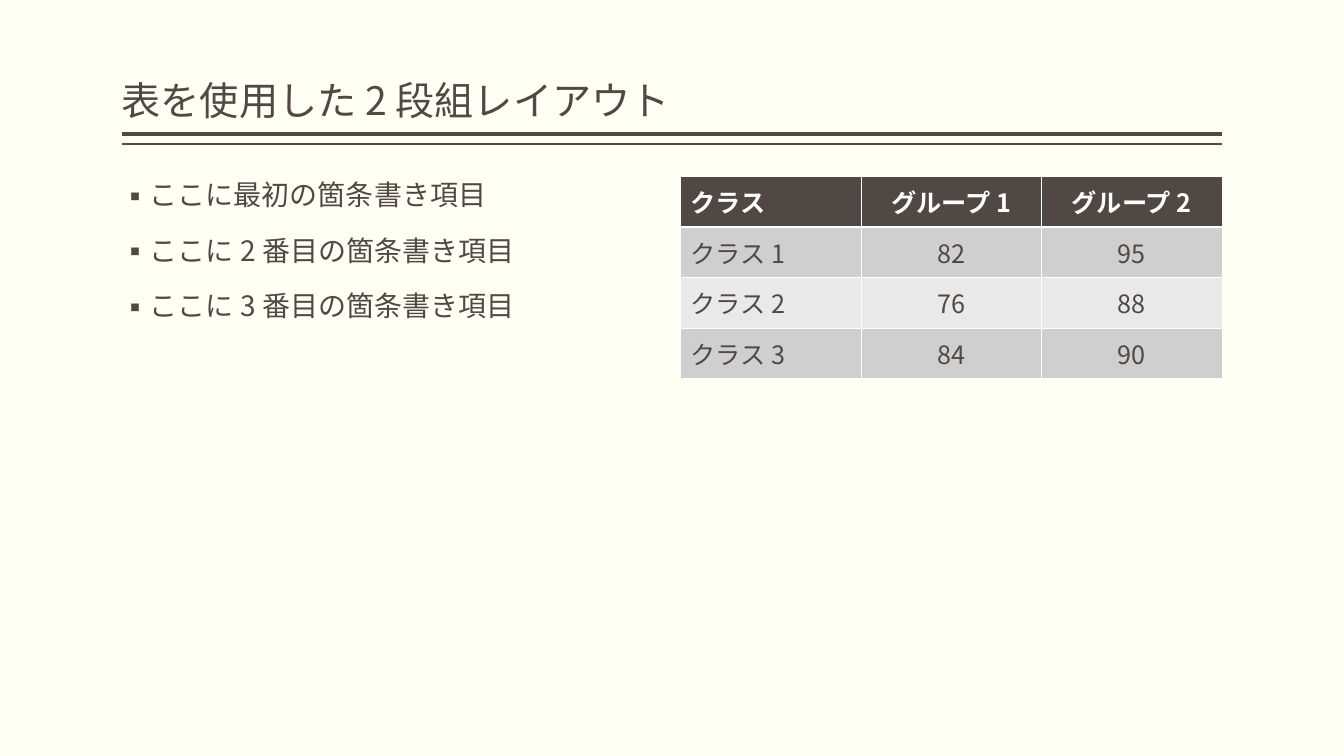
from dataclasses import dataclass

from lxml import etree
from pptx import Presentation
from pptx import util as u
from pptx.dml.color import RGBColor
from pptx.enum import shapes, text
from pptx.oxml import ns

FONT = "Noto Sans CJK JP"
DARK, WHITE, CREAM = "514843", "FFFFFF", "FFFFF3"
BANDS = ("D0CFCF", "E9E9E9")
LEFT, RIGHT, TOP = 3.07, 30.81, 4.45
MID = text.PP_ALIGN.CENTER


@dataclass
class Rule:
    y: float
    width: float


@dataclass
class Box:
    x: float
    y: float
    w: float
    h: float
    anchor: text.MSO_ANCHOR


RULES = [Rule(3.38, 3), Rule(3.63, 1)]
TITLE = Box(LEFT, 0.2, 27.71, 3.05, text.MSO_ANCHOR.BOTTOM)
BODY = Box(LEFT, TOP, 13.67, 12.7, text.MSO_ANCHOR.TOP)
ITEMS = ["ここに最初の箇条書き項目", "ここに 2 番目の箇条書き項目", "ここに 3 番目の箇条書き項目"]
ROWS = [
    ("クラス", "グループ 1", "グループ 2"),
    ("クラス 1", "82", "95"),
    ("クラス 2", "76", "88"),
    ("クラス 3", "84", "90"),
]


def rgb(code: str) -> RGBColor:
    return RGBColor.from_string(code)


def add(parent, tag: str, **attrs: str):
    return etree.SubElement(parent, ns.qn(tag), attrs)


def write(para, words: str, *, size: float, color: str = DARK, bold: bool = False,
          align=text.PP_ALIGN.LEFT, line: float = 1.0, before: float = 0,
          bullet: str = "") -> None:
    para.alignment = align
    para.line_spacing = line
    para.space_before = u.Pt(before)
    run = para.add_run()
    run.text = words
    font = run.font
    font.size, font.bold, font.name = u.Pt(size), bold, FONT
    font.color.rgb = rgb(color)
    add(font._element, "a:ea", typeface=FONT)
    if bullet:
        props = para._p.get_or_add_pPr()
        dent = u.Cm(0.64)
        props.set("marL", str(dent))
        props.set("indent", str(-dent))
        add(add(props, "a:buClr"), "a:srgbClr", val=color)
        add(props, "a:buFont", typeface=FONT)
        add(props, "a:buChar", char=bullet)


def frame(slide, box: Box):
    shape = slide.shapes.add_textbox(u.Cm(box.x), u.Cm(box.y), u.Cm(box.w), u.Cm(box.h))
    body = shape.text_frame
    body.word_wrap = True
    body.margin_left = body.margin_right = 0
    body.vertical_anchor = box.anchor
    return body


def draw_rule(slide, rule: Rule) -> None:
    line = slide.shapes.add_connector(
        shapes.MSO_CONNECTOR.STRAIGHT,
        u.Cm(RIGHT), u.Cm(rule.y), u.Cm(LEFT), u.Cm(rule.y))
    line.line.color.rgb = rgb(DARK)
    line.line.width = u.Pt(rule.width)
    add(line._element.spPr, "a:effectLst")


def edge(cell, side: str, width: float) -> None:
    props = cell._tc.get_or_add_tcPr()
    line = add(props, f"a:ln{side}", w=str(u.Pt(width)))
    add(add(line, "a:solidFill"), "a:srgbClr", val=WHITE)


def draw_cell(cell, words: str, row: int, col: int) -> None:
    head = row == 0
    thick = {"T": row == 1, "B": head}
    for side in "LRTB":
        edge(cell, side, 1.5 if thick.get(side) else 0.45)
    cell.fill.solid()
    cell.fill.fore_color.rgb = rgb(DARK if head else BANDS[(row - 1) % 2])
    cell.vertical_anchor = text.MSO_ANCHOR.MIDDLE
    write(cell.text_frame.paragraphs[0], words, size=18, bold=head,
          color=WHITE if head else DARK,
          align=MID if col else text.PP_ALIGN.LEFT)


def draw_table(slide) -> None:
    wide, high = u.Cm(4.55), u.Cm(1.27)
    count = len(ROWS[0])
    grid = slide.shapes.add_table(len(ROWS), count, u.Cm(17.15), u.Cm(TOP),
                                  wide * count, high * len(ROWS)).table
    for row, words in enumerate(ROWS):
        for col, word in enumerate(words):
            draw_cell(grid.cell(row, col), word, row, col)


deck = Presentation()
deck.slide_width, deck.slide_height = u.Cm(33.88), u.Cm(19.05)
slide = deck.slides.add_slide(deck.slide_layouts[6])
slide.background.fill.solid()
slide.background.fill.fore_color.rgb = rgb(CREAM)

# Title with double rule
for rule in RULES:
    draw_rule(slide, rule)
write(frame(slide, TITLE).paragraphs[0], "表を使用した 2 段組レイアウト", size=28, line=0.9)

# Bullets on the left
body = frame(slide, BODY)
for i, item in enumerate(ITEMS):
    para = body.add_paragraph() if i else body.paragraphs[0]
    write(para, item, size=20, line=0.9, before=18, bullet="▪")

# Table on the right
draw_table(slide)

deck.save("out.pptx")
